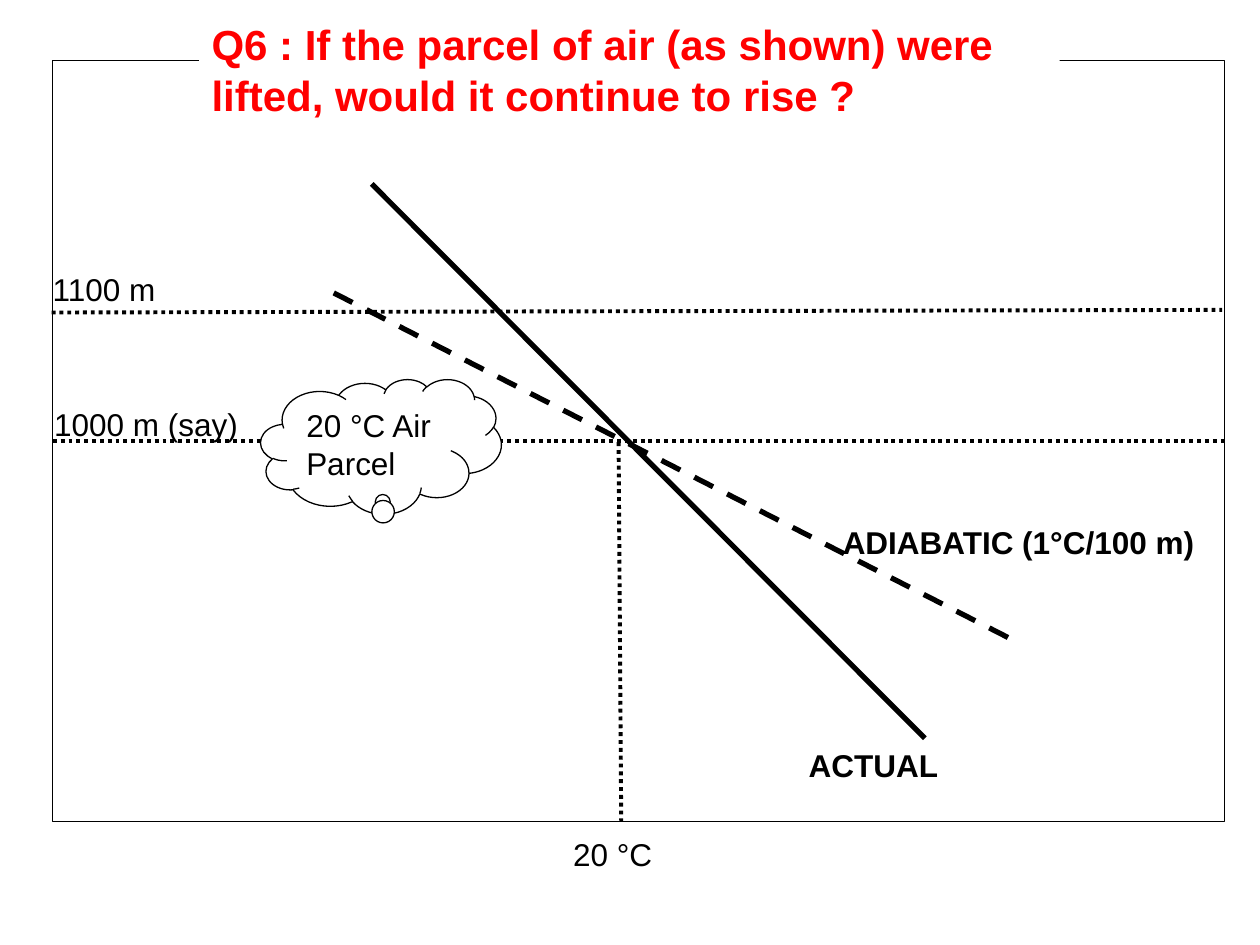
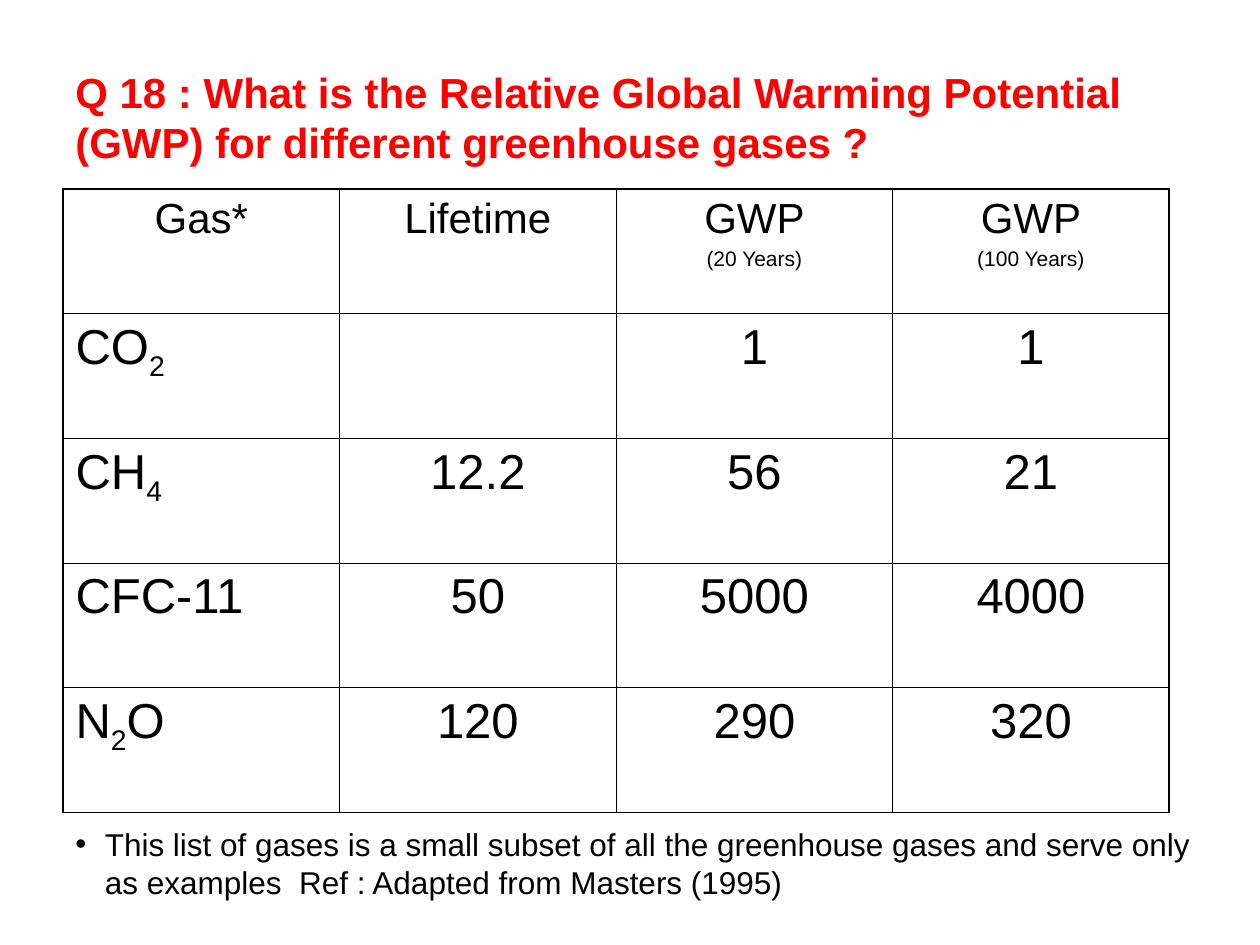
from lxml.etree import SubElement as Sub
from pptx import Presentation
from pptx.dml.color import RGBColor as Rgb
from pptx.enum.dml import MSO_LINE as Dash
from pptx.enum.shapes import MSO_CONNECTOR as Link, MSO_SHAPE as Form
from pptx.enum.text import MSO_ANCHOR as Anchor, PP_ALIGN as Align
from pptx.oxml import parse_xml
from pptx.oxml.ns import nsdecls, qn
from pptx.util import Pt

BLACK, WHITE, RED = "000000", "FFFFFF", "FF0000"
BODY = {"name": "Arial", "size": Pt(18), "bold": False}
BOLD = BODY | {"bold": True}
TITLE = BOLD | {"size": Pt(24)}
HEAD = BODY | {"size": Pt(24)}
VALUE = BODY | {"size": Pt(28)}
SMALL = BODY | {"size": Pt(12)}

GASES = [
    ("CO_2", "", "1", "1"),
    ("CH_4", "12.2", "56", "21"),
    ("CFC-11", "50", "5000", "4000"),
    ("N_2_O", "120", "290", "320"),
]


def paint(target, color):
    target.rgb = Rgb.from_string(color)


def style(font, look, color=BLACK):
    for key, value in look.items():
        setattr(font, key, value)
    paint(font.color, color)


def write(para, text, look, color=BLACK, align=Align.LEFT):
    para.alignment = align
    for i, part in enumerate(text.split("_")):
        run = para.add_run()
        run.text = part
        style(run.font, look, color)
        if i % 2:
            run.font._element.set("baseline", "-25000")


def fill_text(frame, text, look, color=BLACK, anchor=Anchor.TOP):
    frame.word_wrap = True
    frame.vertical_anchor = anchor
    write(frame.paragraphs[0], text, look, color)


def label(slide, box, text, look=BODY, color=BLACK, anchor=Anchor.TOP):
    shape = slide.shapes.add_textbox(*map(Pt, box))
    fill_text(shape.text_frame, text, look, color, anchor)
    return shape


def block(slide, form, box, fill=None, line=None):
    shape = slide.shapes.add_shape(form, *map(Pt, box))
    shape.shadow.inherit = False
    if fill:
        shape.fill.solid()
        paint(shape.fill.fore_color, fill)
    else:
        shape.fill.background()
    if line:
        paint(shape.line.color, line)
        shape.line.width = Pt(0.75)
    else:
        shape.line.fill.background()
    return shape


def rule(slide, ends, width, dash=None):
    line = slide.shapes.add_connector(Link.STRAIGHT, *map(Pt, ends))
    paint(line.line.color, BLACK)
    line.line.width = Pt(width)
    if dash:
        line.line.dash_style = dash
    Sub(line._element.spPr, qn("a:effectLst"))
    return line


def edge(cell, sides):
    props = cell._tc.get_or_add_tcPr()
    for i, (side, outer) in enumerate(sides.items()):
        width = Pt(1.08 if outer else 0.45)
        props.insert(i, parse_xml(
            f'<a:ln{side} {nsdecls("a")} w="{width}"><a:solidFill>'
            f'<a:srgbClr val="{BLACK}"/></a:solidFill></a:ln{side}>'))


def grid(slide, box, heads, rows):
    count, span = len(rows) + 1, len(heads)
    table = slide.shapes.add_table(count, span, *map(Pt, box)).table
    table.first_row = table.horz_banding = False
    for r, row in enumerate([heads, *rows]):
        for c, text in enumerate(row):
            cell = table.cell(r, c)
            cell.fill.background()
            edge(cell, {"L": c == 0, "R": c == span - 1,
                        "T": r == 0, "B": r == count - 1})
            main_text, _, note = text.partition("\n")
            para = cell.text_frame.paragraphs[0]
            align = Align.LEFT if r and c == 0 else Align.CENTER
            if main_text:
                write(para, main_text, VALUE if r else HEAD, align=align)
            if note:
                para = cell.text_frame.add_paragraph()
                para.space_before = Pt(3)
                write(para, note, SMALL, align=align)


def bullet(para, indent):
    props = para._p.get_or_add_pPr()
    props.set("marL", str(Pt(indent)))
    props.set("indent", str(-Pt(indent)))
    Sub(Sub(props, qn("a:buClr")), qn("a:srgbClr"), val=BLACK)
    Sub(props, qn("a:buFont"), typeface="Arial")
    Sub(props, qn("a:buChar"), char="•")


def draw_lapse(slide):
    frame = block(slide, Form.RECTANGLE, (30.2, 34.6, 669.6, 434.9), line=BLACK)
    rule(slide, (212.4, 105.1, 528.5, 421.9), 3)
    rule(slide, (576, 364.3, 182.9, 163.4), 3, Dash.DASH)
    level = rule(slide, (30.2, 252, 699.8, 252), 2.25, Dash.ROUND_DOT)
    level.begin_connect(frame, 1)
    level.end_connect(frame, 3)
    rule(slide, (353.5, 252.7, 355, 469.4), 2.25, Dash.ROUND_DOT)
    rule(slide, (29.5, 178.6, 698.4, 177.1), 2.25, Dash.ROUND_DOT)
    cloud = block(slide, Form.CLOUD_CALLOUT, (149, 216.7, 137.5, 77), WHITE, BLACK)
    cloud.adjustments[0], cloud.adjustments[1] = 0.007, 0.395
    fill_text(cloud.text_frame, "20 °C Air Parcel", BODY)
    for box, text, look in (
        ((474.5, 295.2, 229.7, 28.8), "ADIABATIC (1°C/100 m)", BOLD),
        ((455, 422.6, 229.7, 28.8), "ACTUAL", BOLD),
        ((23.8, 228.2, 145.4, 28.8), "1000 m (say)", BODY),
        ((23, 150.5, 145.4, 28.8), "1100 m", BODY),
        ((320.4, 473.8, 68.4, 28.8), "20 °C", BODY),
    ):
        label(slide, box, text, look)
    head = block(slide, Form.RECTANGLE, (113.8, 7.2, 491.8, 64.8), WHITE)
    fill_text(head.text_frame, "Q6 : If the parcel of air (as shown) were "
              "lifted, would it continue to rise ?", TITLE, RED)


def draw_gases(slide):
    label(slide, (36, 21.6, 648, 90), "Q 18 : What is the Relative Global Warming "
          "Potential (GWP) for different greenhouse gases ?", TITLE, RED, Anchor.MIDDLE)
    heads = ("Gas*", "Lifetime", "GWP\n(20 Years)", "GWP\n(100 Years)")
    grid(slide, (36, 108, 632.2, 356.4), heads, GASES)
    note = label(slide, (36, 468, 653.8, 72), "This list of gases is a small subset of all "
                 "the greenhouse gases and serve only as examples  Ref : Adapted from "
                 "Masters (1995)")
    bullet(note.text_frame.paragraphs[0], 16.8)


def main():
    deck = Presentation()
    deck.slide_width, deck.slide_height = Pt(720), Pt(540)
    for draw in (draw_lapse, draw_gases):
        draw(deck.slides.add_slide(deck.slide_layouts[6]))
    deck.save("out.pptx")


if __name__ == "__main__":
    main()
